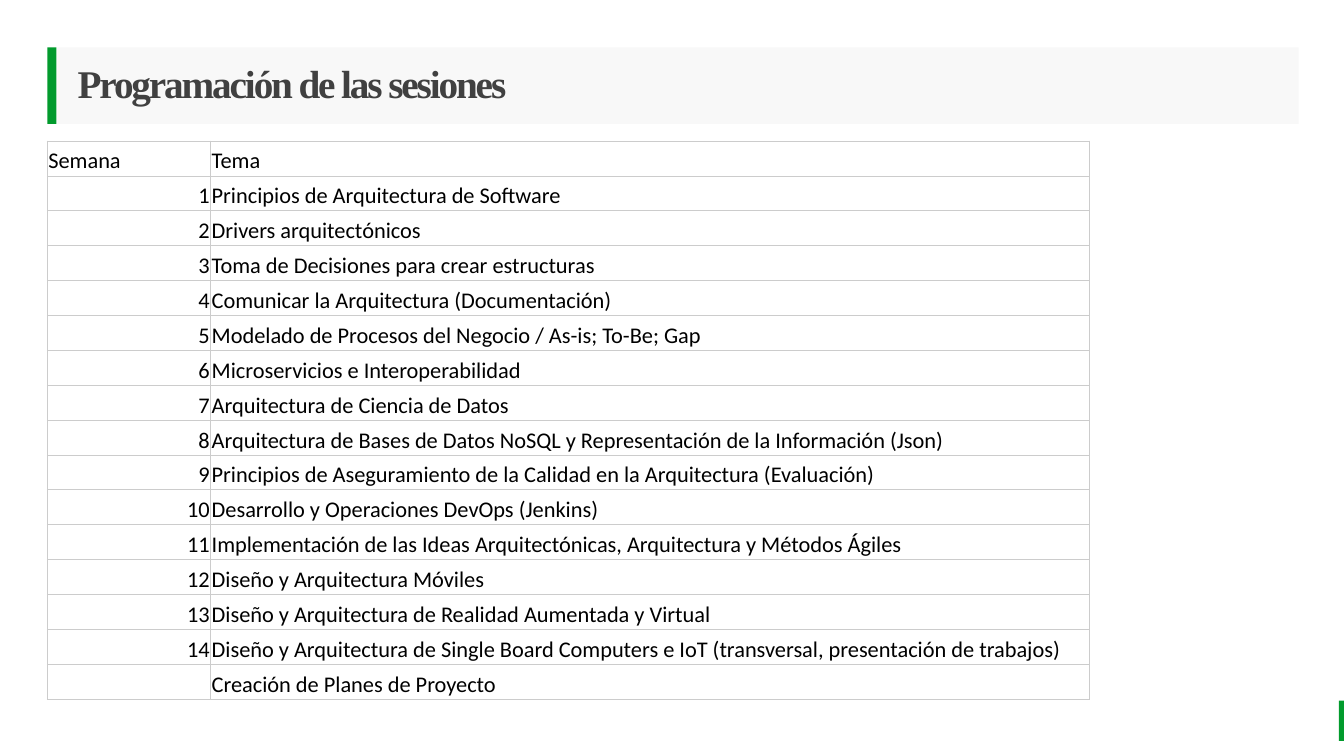
from dataclasses import dataclass

from lxml import etree
from pptx import Presentation
from pptx.dml.color import RGBColor
from pptx.enum.shapes import MSO_SHAPE
from pptx.enum.text import MSO_ANCHOR, MSO_AUTO_SIZE, PP_ALIGN
from pptx.oxml.ns import qn
from pptx.slide import Slide
from pptx.util import Inches, Pt

RECT = MSO_SHAPE.RECTANGLE
BOTTOM, MIDDLE = MSO_ANCHOR.BOTTOM, MSO_ANCHOR.MIDDLE
LEFT, RIGHT = PP_ALIGN.LEFT, PP_ALIGN.RIGHT
NO_FIT = MSO_AUTO_SIZE.NONE


@dataclass(frozen=True)
class Theme:
    green: str = "029B2D"
    band: str = "F2F2F2"
    head: str = "404040"
    ink: str = "000000"
    grid: str = "CCCCCC"
    serif: str = "Times New Roman"
    sans: str = "Calibri"
    title: float = 28
    body: float = 16


@dataclass(frozen=True)
class Bar:
    left: float
    top: float
    width: float
    height: float


THEME = Theme()
BARS = [Bar(13.28, 6.95, 0.05, 0.4), Bar(0.47, 0.47, 0.09, 0.76)]
BAND = Bar(0.57, 0.47, 12.31, 0.76)
GRID = Bar(0.47, 1.4, 10.34, 5.54)
WEEK = 1.62
TOPICS = [
    "Principios de Arquitectura de Software",
    "Drivers arquitectónicos",
    "Toma de Decisiones para crear estructuras",
    "Comunicar la Arquitectura (Documentación)",
    "Modelado de Procesos del Negocio / As-is; To-Be; Gap",
    "Microservicios e Interoperabilidad",
    "Arquitectura de Ciencia de Datos",
    "Arquitectura de Bases de Datos NoSQL y Representación de la Información (Json)",
    "Principios de Aseguramiento de la Calidad en la Arquitectura (Evaluación)",
    "Desarrollo y Operaciones DevOps (Jenkins)",
    "Implementación de las Ideas Arquitectónicas, Arquitectura y Métodos Ágiles",
    "Diseño y Arquitectura Móviles",
    "Diseño y Arquitectura de Realidad Aumentada y Virtual",
    "Diseño y Arquitectura de Single Board Computers e IoT (transversal, presentación de trabajos)",
]
ROWS = [
    ("Semana", "Tema"),
    *((str(week), topic) for week, topic in enumerate(TOPICS, 1)),
    ("", "Creación de Planes de Proyecto"),
]


def write(frame, text: str, *, font: str, size: float, color: str,
          bold: bool = False, align=LEFT, space: float = 1, track: float = 0) -> None:
    para = frame.paragraphs[0]
    para.alignment = align
    para.line_spacing = space
    run = para.add_run()
    run.text = text
    run.font.name = font
    run.font.size = Pt(size)
    run.font.bold = bold
    run.font.color.rgb = RGBColor.from_string(color)
    if track:
        run.font._element.set("spc", str(round(track * 100)))


def box(bar: Bar) -> tuple:
    return Inches(bar.left), Inches(bar.top), Inches(bar.width), Inches(bar.height)


def paint(shape, color: str, alpha: int = 100) -> None:
    shape.fill.solid()
    shape.fill.fore_color.rgb = RGBColor.from_string(color)
    shape.line.fill.background()
    if alpha < 100:
        tint = shape.fill._xPr.find(qn("a:solidFill"))[0]
        etree.SubElement(tint, qn("a:alpha")).set("val", str(alpha * 1000))


def draw_bar(slide: Slide, bar: Bar) -> None:
    shape = slide.shapes.add_shape(RECT, *box(bar))
    shape.shadow.inherit = False
    paint(shape, THEME.green)


def draw_title(slide: Slide, text: str) -> None:
    title = slide.shapes.title
    title.left, title.top, title.width, title.height = box(BAND)
    paint(title, THEME.band, 50)
    frame = title.text_frame
    frame.word_wrap = True
    frame.auto_size = NO_FIT
    frame.vertical_anchor = MIDDLE
    frame.margin_left = Inches(0.2)
    frame.margin_top = frame.margin_right = frame.margin_bottom = 0
    write(frame, text, font=THEME.serif, size=THEME.title, color=THEME.head,
          bold=True, space=0.9, track=-1.5)


def edge(cell) -> None:
    props = cell._tc.get_or_add_tcPr()
    for side in ("lnL", "lnR", "lnT", "lnB"):
        line = etree.SubElement(props, qn(f"a:{side}"), w=str(Pt(0.75)))
        fill = etree.SubElement(line, qn("a:solidFill"))
        etree.SubElement(fill, qn("a:srgbClr"), val=THEME.grid)


def draw_table(slide: Slide) -> None:
    table = slide.shapes.add_table(len(ROWS), 2, *box(GRID)).table
    table.first_row = table.horz_banding = False
    table.columns[0].width = Inches(WEEK)
    table.columns[1].width = Inches(GRID.width - WEEK)
    for row, texts in enumerate(ROWS):
        for col, text in enumerate(texts):
            cell = table.cell(row, col)
            cell.margin_left = cell.margin_right = Inches(0.01)
            cell.margin_top = cell.margin_bottom = Inches(0.01)
            cell.vertical_anchor = BOTTOM
            edge(cell)
            cell.fill.background()
            if text:
                write(cell.text_frame, text, font=THEME.sans, size=THEME.body,
                      color=THEME.ink, align=RIGHT if text.isdigit() else LEFT)


def main() -> None:
    deck = Presentation()
    deck.slide_width, deck.slide_height = Inches(13.33), Inches(7.5)
    slide = deck.slides.add_slide(deck.slide_layouts[5])
    for bar in BARS:
        draw_bar(slide, bar)
    draw_table(slide)
    draw_title(slide, "Programación de las sesiones")
    deck.save("out.pptx")


if __name__ == "__main__":
    main()
